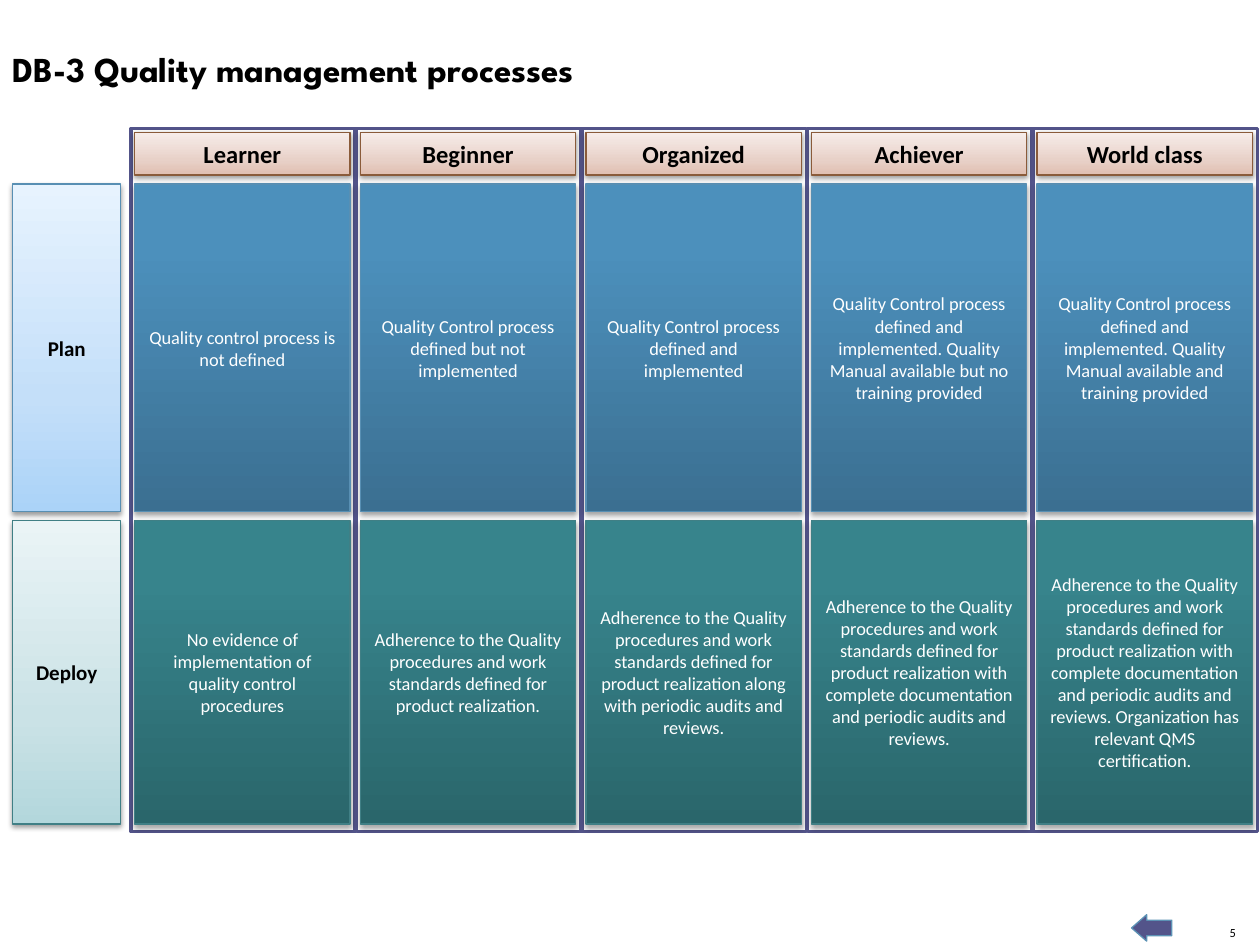
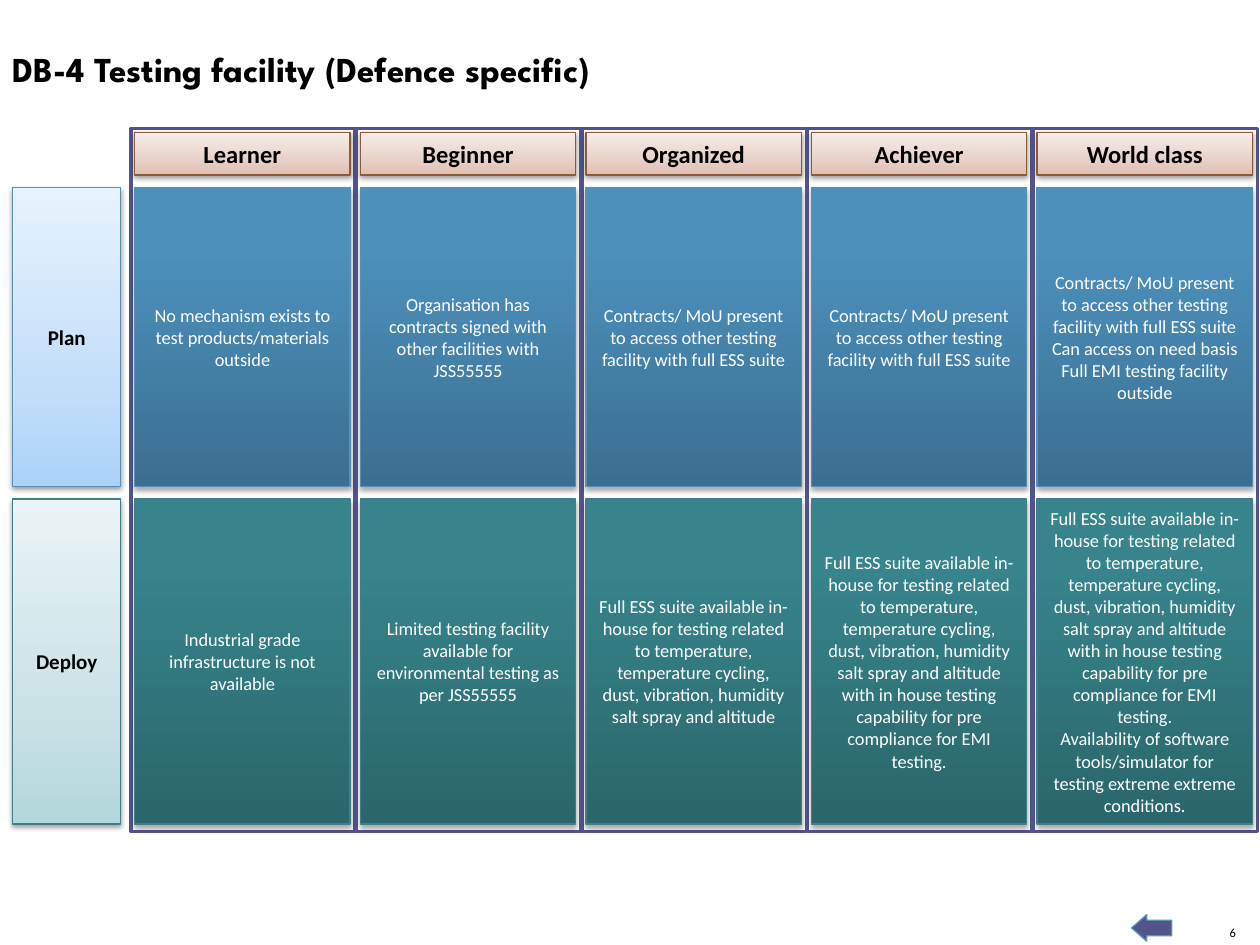
from collections import namedtuple

from lxml import etree
from pptx import Presentation
from pptx.dml.color import RGBColor
from pptx.enum.shapes import MSO_SHAPE
from pptx.enum.text import MSO_ANCHOR, MSO_AUTO_SIZE, PP_ALIGN
from pptx.oxml.ns import qn
from pptx.util import Pt

RECTANGLE, RIGHT_ARROW = MSO_SHAPE.RECTANGLE, MSO_SHAPE.RIGHT_ARROW
TOP, MIDDLE, BOTTOM = MSO_ANCHOR.TOP, MSO_ANCHOR.MIDDLE, MSO_ANCHOR.BOTTOM
LEFT, CENTER, RIGHT = PP_ALIGN.LEFT, PP_ALIGN.CENTER, PP_ALIGN.RIGHT
NO_AUTOFIT = MSO_AUTO_SIZE.NONE

COLORS = {
    "text": "000000",
    "light_text": "FFFFFF",
    "background": "FFFFFF",
    "shadow": "000000",
    "frame": "53548A",
    "arrow_edge": "5C92B5",
    "plan_edge": "588FB3",
    "deploy_edge": "407F85",
    "level_edge": "8A5B3A",
    "plan_label_0": "ABD3F8", "plan_label_1": "C4DFF9", "plan_label_2": "E7F3FE",
    "deploy_label_0": "B3D7DC", "deploy_label_1": "CAE2E6", "deploy_label_2": "EAF4F6",
    "level_0": "E0BEB0", "level_1": "E8D1C8", "level_2": "F7EDEA",
    "plan_0": "3B6F91", "plan_1": "4C90BC", "plan_2": "4A91BF",
    "deploy_0": "2A666B", "deploy_1": "37848C", "deploy_2": "36868E",
}
BODY_FONT, TITLE_FONT = "Calibri", "League Spartan"

Box = namedtuple("Box", "left top width height")
Style = namedtuple("Style", "gradient edge middle_stop text size bold opacity drop")


def label_style(gradient, edge, size):
    """Return the pale style of a heading panel."""
    return Style(gradient, edge, 35, "text", size, True, 38, 1.6)


def cell_style(gradient, edge):
    """Return the dark style of a description panel."""
    return Style(gradient, edge, 80, "light_text", 10.5, False, 35, 1.8)


LEVEL_STYLE = label_style("level", "level_edge", 14)
LABEL_STYLES = {
    "Plan": label_style("plan_label", "plan_edge", 12),
    "Deploy": label_style("deploy_label", "deploy_edge", 12),
}
CELL_STYLES = {
    "Plan": cell_style("plan", "plan_edge"),
    "Deploy": cell_style("deploy", "deploy_edge"),
}

LEVELS = ["Learner", "Beginner", "Organized", "Achiever", "World class"]
TITLE_BOX = Box(0, 23.8, 619.2, 31.7)
MATRIX_BOX = Box(7.2, 73.4, 711, 401.8)
FOOTER_BOX = Box(646.6, 522.7, 59.7, 15.1)
LABEL_WIDTH = 61.9
FRAME_OFFSET, FRAME_WIDTH, COLUMN_STEP = 67.6, 128.2, 128.9
CELL_INSET, CELL_WIDTH, LEVEL_HEIGHT = 2.2, 123.1, 24.5

ADHERENCE = "Adherence to the Quality procedures and work standards defined for product realization"
AUDITED = ADHERENCE + " with complete documentation and periodic audits and reviews."
CONTROL = "Quality Control process defined and implemented"
CONTRACTS = "Contracts/ MoU present to access other testing facility with full ESS suite"
ESS_SUITE = (
    "Full ESS suite available in-house for testing related to temperature, "
    "temperature cycling, dust, vibration, humidity salt spray and altitude"
)
ESS_WITH_EMI = ESS_SUITE + " with in house testing capability for pre compliance for EMI testing."

SLIDES = [
    {
        "number": 5,
        "title": "DB-3 Quality management processes",
        "rows": {"Plan": (31.7, 187.2), "Deploy": (224, 173.5)},
        "Plan": [
            "Quality control process is not defined",
            "Quality Control process defined but not implemented",
            CONTROL,
            CONTROL + ". Quality Manual available but no training provided",
            CONTROL + ". Quality Manual available and training provided",
        ],
        "Deploy": [
            "No evidence of implementation of quality control procedures",
            ADHERENCE + ".",
            ADHERENCE + " along with periodic audits and reviews.",
            AUDITED,
            AUDITED + " Organization has relevant QMS certification.",
        ],
    },
    {
        "number": 6,
        "title": "DB-4 Testing facility (Defence specific)",
        "rows": {"Plan": (33.9, 170.6), "Deploy": (211.7, 185.8)},
        "Plan": [
            "No mechanism exists to test products/materials outside",
            "Organisation has contracts signed with other facilities with JSS55555",
            CONTRACTS,
            CONTRACTS,
            CONTRACTS + "\nCan access on need basis Full EMI testing facility outside",
        ],
        "Deploy": [
            "Industrial grade infrastructure is not available",
            "Limited testing facility available for environmental testing as per JSS55555",
            ESS_SUITE,
            ESS_WITH_EMI,
            ESS_WITH_EMI + "\nAvailability of software tools/simulator for testing "
            "extreme extreme conditions.",
        ],
    },
]


def rgb(name):
    """Return the named colour."""
    return RGBColor.from_string(COLORS[name])


def place(part, box):
    """Move a part to its box."""
    part.left, part.top, part.width, part.height = (Pt(length) for length in box)


def write(part, text, size, color="text", bold=False, font=BODY_FONT, align=CENTER, anchor=MIDDLE):
    """Write formatted paragraphs into a part."""
    frame = part.text_frame
    frame.text = text
    frame.word_wrap = True
    frame.auto_size = NO_AUTOFIT
    frame.vertical_anchor = anchor
    for paragraph in frame.paragraphs:
        paragraph.alignment = align
        paragraph.font.size = Pt(size)
        paragraph.font.name = font
        paragraph.font.bold = bold
        paragraph.font.color.rgb = rgb(color)


def add_color(parent, name):
    """Append a colour element and return it."""
    return etree.SubElement(parent, qn("a:srgbClr"), val=COLORS[name])


def add_gradient(shape, style):
    """Fill a shape from bottom to top with three stops."""
    gradient = etree.SubElement(shape.element.spPr, qn("a:gradFill"), rotWithShape="1")
    stops = etree.SubElement(gradient, qn("a:gsLst"))
    for index, percent in enumerate((0, style.middle_stop, 100)):
        stop = etree.SubElement(stops, qn("a:gs"), pos=str(percent * 1000))
        add_color(stop, f"{style.gradient}_{index}")
    etree.SubElement(gradient, qn("a:lin"), ang="16200000", scaled="0")


def add_shadow(shape, style):
    """Drop a soft shadow below a shape."""
    shadow = etree.SubElement(
        shape.element.spPr.find(qn("a:effectLst")), qn("a:outerShdw"),
        blurRad=str(Pt(3.1)), dist=str(Pt(style.drop)), dir="5400000", rotWithShape="0",
    )
    etree.SubElement(add_color(shadow, "shadow"), qn("a:alpha"), val=str(style.opacity * 1000))


def add_solid(slide, kind, box, fill, edge, edge_width):
    """Add a plain outlined shape."""
    shape = slide.shapes.add_shape(kind, *(Pt(length) for length in box))
    shape.shadow.inherit = False
    shape.fill.solid()
    shape.fill.fore_color.rgb = rgb(fill)
    shape.line.color.rgb = rgb(edge)
    shape.line.width = Pt(edge_width)
    return shape


def add_panel(slide, box, text, style):
    """Add a gradient panel with centred text."""
    panel = slide.shapes.add_shape(RECTANGLE, *(Pt(length) for length in box))
    add_gradient(panel, style)
    panel.line.color.rgb = rgb(style.edge)
    panel.line.width = Pt(0.75)
    panel.shadow.inherit = False
    add_shadow(panel, style)
    write(panel, text, style.size, style.text, style.bold)


def add_title(slide, box, text):
    """Fill the title placeholder."""
    title = slide.shapes.title
    place(title, box)
    write(title, text, 20, bold=True, font=TITLE_FONT, align=LEFT, anchor=TOP)


def add_matrix(slide, box, content):
    """Add the maturity levels against the plan and deploy rows."""
    for row, (offset, height) in content["rows"].items():
        label = Box(box.left, box.top + offset, LABEL_WIDTH, height)
        add_panel(slide, label, row, LABEL_STYLES[row])
    columns = [box.left + FRAME_OFFSET + COLUMN_STEP * index for index in range(len(LEVELS))]
    for left in columns:
        frame = Box(left, box.top, FRAME_WIDTH, box.height)
        add_solid(slide, RECTANGLE, frame, "background", "frame", 2)
    for row, (offset, height) in content["rows"].items():
        for left, description in zip(columns, content[row]):
            cell = Box(left + CELL_INSET, box.top + offset, CELL_WIDTH, height)
            add_panel(slide, cell, description, CELL_STYLES[row])
    for left, level in zip(columns, LEVELS):
        heading = Box(left + CELL_INSET, box.top + CELL_INSET, CELL_WIDTH, LEVEL_HEIGHT)
        add_panel(slide, heading, level, LEVEL_STYLE)


def add_footer(slide, box, number):
    """Add the back arrow and the page number."""
    arrow_box = Box(box.left, box.top, 23, box.height)
    arrow = add_solid(slide, RIGHT_ARROW, arrow_box, "frame", "arrow_edge", 0.75)
    arrow.rotation = 180
    arrow.adjustments[0], arrow.adjustments[1] = 0.59, 0.57
    page_box = Box(box.left + box.width - 8.6, box.top + 5.8, 8.6, 8.6)
    page = slide.shapes.add_textbox(*(Pt(length) for length in page_box))
    write(page, str(number), 7.1, align=RIGHT, anchor=BOTTOM)
    frame = page.text_frame
    frame.word_wrap = False
    frame.margin_left = frame.margin_right = frame.margin_top = frame.margin_bottom = 0


def main():
    """Build and save the slides."""
    deck = Presentation()
    deck.slide_width, deck.slide_height = Pt(720), Pt(540)
    title_only = deck.slide_layouts[5]
    for content in SLIDES:
        slide = deck.slides.add_slide(title_only)
        add_footer(slide, FOOTER_BOX, content["number"])
        add_title(slide, TITLE_BOX, content["title"])
        add_matrix(slide, MATRIX_BOX, content)
    deck.save("out.pptx")


if __name__ == "__main__":
    main()
